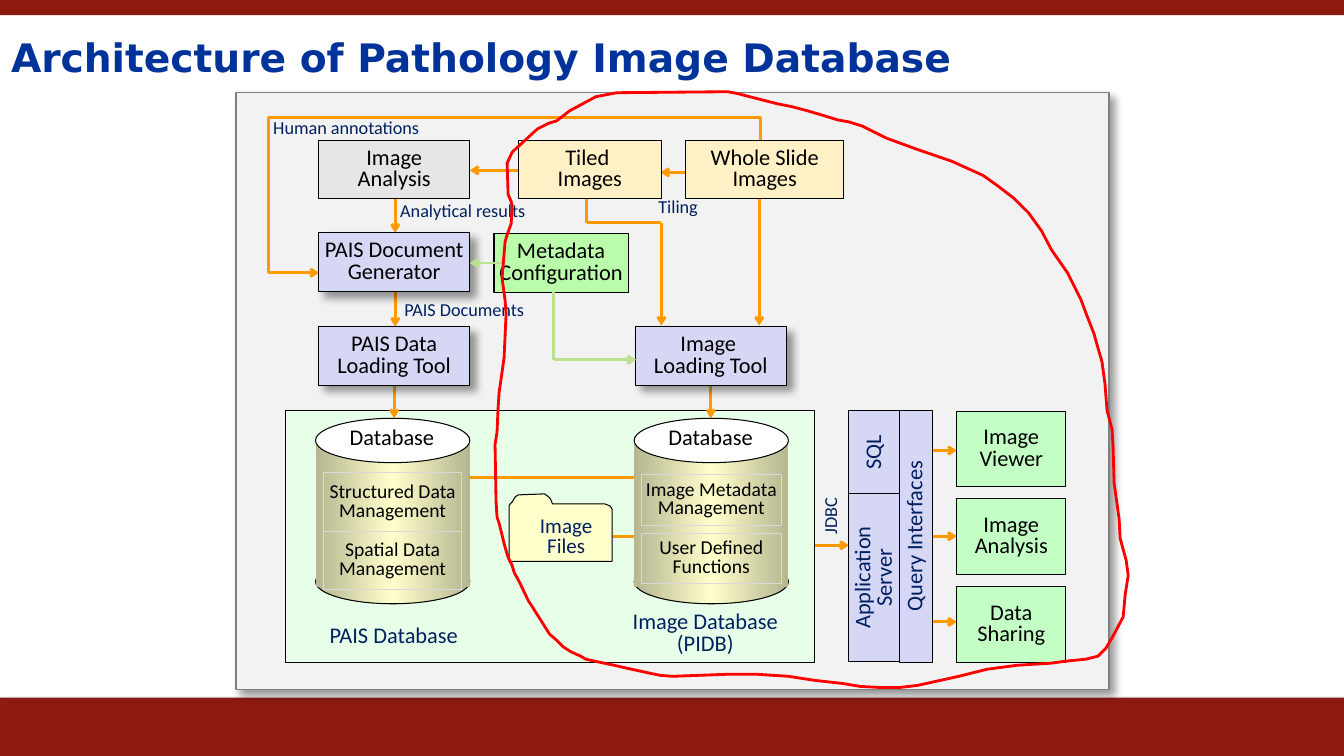
from copy import deepcopy
from pptx import Presentation, util as u
from pptx.dml import color
from pptx.enum import shapes, text
from pptx.oxml import parse_xml
from pptx.oxml.ns import nsdecls, qn

RECT, OVAL = shapes.MSO_SHAPE.RECTANGLE, shapes.MSO_SHAPE.OVAL
MID, TOP = text.MSO_ANCHOR.MIDDLE, text.MSO_ANCHOR.TOP
LEFT, CENTER = text.PP_ALIGN.LEFT, text.PP_ALIGN.CENTER
ORANGE, GREEN, NAVY, BLACK = "FF9900", "BAE18F", "002060", "000000"
LILAC, CREAM, MINT, RED = "D6D6F5", "FFF1C5", "C3FFC4", "8D1A11"
SHADE = (40, 6, 6, 45)
FOLDER = [(.93, .1), (.43, .1), (.41, .05), (.38, .02), (.35, 0), (.09, .01), (.06, .03),
          (.03, .08), (.01, .1), (0, .12), (0, .67), (1.02, .67), (1.02, .15), (1, .12), (.95, .1)]
LOOP = [(1.21, .01), (1, .05), (.74, .19), (.61, .29), (.54, .31), (.42, .37), (.3, .48), (.17, .6),
        (.12, .71), (.13, 1.02), (.16, 1.09), (.17, 1.13), (.16, 1.31), (.12, 1.42), (.1, 1.49),
        (.07, 1.85), (.1, 2.07), (.11, 2.2), (.09, 2.64), (.04, 2.99), (.03, 3.15), (.02, 3.38),
        (0, 3.5), (.01, 4.06), (.02, 4.22), (.04, 4.28), (.1, 4.52), (.13, 4.62), (.17, 4.7),
        (.19, 4.77), (.24, 4.86), (.33, 5.05), (.37, 5.11), (.54, 5.38), (.62, 5.45), (.68, 5.51),
        (.76, 5.56), (.85, 5.6), (.9, 5.63), (.99, 5.65), (1.18, 5.69), (1.31, 5.72), (1.54, 5.77),
        (1.64, 5.79), (1.76, 5.8), (2.3, 5.78), (2.6, 5.78), (2.91, 5.8), (3.17, 5.84), (3.44, 5.87),
        (3.62, 5.9), (3.81, 5.91), (4.02, 5.91), (4.19, 5.89), (4.6, 5.8), (4.88, 5.73), (5.18, 5.69),
        (5.51, 5.67), (5.66, 5.65), (5.86, 5.63), (5.98, 5.6), (6.06, 5.52), (6.13, 5.4), (6.23, 5.21),
        (6.25, 4.99), (6.28, 4.8), (6.26, 4.65), (6.2, 4.43), (6.19, 4.24), (6.14, 3.88), (6.13, 3.53),
        (6.12, 3.35), (6.07, 3.16), (6.05, 2.9), (6.02, 2.68), (5.94, 2.4), (5.87, 2.22), (5.81, 2.06),
        (5.68, 1.8), (5.52, 1.57), (5.42, 1.38), (5.29, 1.2), (5.15, 1.06), (4.98, .93), (4.84, .83),
        (4.53, .69), (4.18, .57), (3.88, .46), (3.64, .34), (3.51, .3), (3.4, .28), (3.27, .24),
        (3.1, .19), (2.95, .15), (2.8, .12), (2.41, .02), (2.31, 0)]


def hue(code):
    """Turn a hex string into a colour."""
    return color.RGBColor.from_string(code)


def dress(part, fmt):
    """Set every attribute listed in a dict."""
    for key, value in fmt.items():
        setattr(part, key, value)


def paint(part, fill=None, edge=None, width=.75, shade=None):
    """Set fill, outline and shadow of a shape."""
    part.shadow.inherit = False
    part.fill.background()
    if fill:
        part.fill.solid()
        part.fill.fore_color.rgb = hue(fill)
    part.line.fill.background()
    if edge:
        part.line.color.rgb = hue(edge)
        part.line.width = u.Pt(width)
    if shade:
        alpha, blur, dist, turn = shade
        part._element.spPr.find(qn("a:effectLst")).append(parse_xml(
            f'<a:outerShdw {nsdecls("a")} blurRad="{u.Pt(blur)}" dist="{u.Pt(dist)}" dir="{turn * 60000}" '
            f'algn="tl" rotWithShape="0"><a:srgbClr val="000000"><a:alpha val="{alpha * 1000}"/>'
            '</a:srgbClr></a:outerShdw>'))


def write(part, words, size=16, ink=BLACK, align=CENTER, gap=.8, pad=(.09, .12), anchor=MID,
          wrap=True, face="Calibri", bold=False):
    """Fill a shape with formatted paragraphs."""
    frame = part.text_frame
    side, end = map(u.Inches, pad)
    dress(frame, dict(text=words, word_wrap=wrap, vertical_anchor=anchor, margin_left=side,
                      margin_right=side, margin_top=end, margin_bottom=end))
    for para in frame.paragraphs:
        dress(para, dict(alignment=align, line_spacing=gap))
        dress(para.font, dict(name=face, size=u.Pt(size), bold=bold))
        para.font.color.rgb = hue(ink)


def block(slide, box, kind=RECT, **look):
    """Add a painted preset shape."""
    part = slide.shapes.add_shape(kind, *map(u.Inches, box))
    paint(part, **look)
    return part


def label(slide, box, words, **look):
    """Add a text box."""
    part = slide.shapes.add_textbox(*map(u.Inches, box))
    write(part, words, **look)
    return part


def stand(box):
    """Return the unturned box of a part turned upright."""
    x, y, w, h = box
    return x + (w - h) / 2, y + (h - w) / 2, h, w


def finish(link, ink, head):
    """Format a connector."""
    link.line.color.rgb = hue(ink)
    link.line.width = u.Pt(2)
    if head:
        link.line._get_or_add_ln().append(parse_xml(f'<a:tailEnd {nsdecls("a")} type="arrow"/>'))
    link._element.spPr.append(parse_xml(f'<a:effectLst {nsdecls("a")}/>'))


def route(slide, x, y, *spots, ink=ORANGE, head=True):
    """Join spots by straight connectors, with an arrowhead at the end."""
    for i, (a, b) in enumerate(zip(spots, spots[1:]), 2):
        ends = [u.Inches(v) for v in (x + a[0], y + a[1], x + b[0], y + b[1])]
        link = slide.shapes.add_connector(shapes.MSO_CONNECTOR.STRAIGHT, *ends)
        finish(link, ink, head and i == len(spots))


def elbow(slide, x, y):
    """Lead the annotations from the whole slides to the generator."""
    ends = map(u.Inches, (x + 3.66, y + 3.33, x + 2.37, y - 1.05))
    link = slide.shapes.add_connector(shapes.MSO_CONNECTOR.ELBOW, *ends)
    form = link._element.spPr
    form.find(qn("a:xfrm")).set("rot", str(270 * 60000))
    shape = form.find(qn("a:prstGeom"))
    shape.set("prst", "bentConnector4")
    shape.replace(shape[0], parse_xml(
        f'<a:avLst {nsdecls("a")}><a:gd name="adj1" fmla="val -19400"/>'
        '<a:gd name="adj2" fmla="val 111400"/></a:avLst>'))
    finish(link, ORANGE, True)


def trace(slide, x, y, spots, **look):
    """Draw a closed outline through spots."""
    spots = [(u.Inches(x + a), u.Inches(y + b)) for a, b in spots]
    pen = slide.shapes.build_freeform(*spots[0])
    pen.add_line_segments(spots[1:], close=True)
    paint(pen.convert_to_shape(), **look)


def metal(part):
    """Give a shape a sheen from side to side."""
    part.fill.gradient()
    part.fill.gradient_angle = 0
    stops = part.fill._fill._gradFill.find(qn("a:gsLst"))
    stops.insert(1, deepcopy(stops[0]))
    for stop, spot in zip(part.fill.gradient_stops, (0, .5, 1)):
        stop.color.rgb = hue("FFFFCC")
        stop.position = spot
    for stop in (stops[0], stops[2]):
        stop[0].append(parse_xml(f'<a:shade {nsdecls("a")} val="46275"/>'))


def can(slide, x, y, w, slots, inset, drop, high):
    """Draw a database drum with two slots."""
    metal(block(slide, (x, y + 1.4, w, .44), OVAL, edge=BLACK))
    metal(block(slide, (x, y + .18, w, 1.49)))
    block(slide, (x, y, w, .44), OVAL, fill="FFFFFF", edge=BLACK)
    label(slide, (x + .24, y, 1.05, .37), "Database", align=LEFT, gap=1, pad=(.1, .05), anchor=TOP, wrap=False)
    for i, words in enumerate(slots):
        slot = block(slide, (x + inset, y + drop + .58 * i, w - 2 * inset, high), edge="D9D9D9")
        write(slot, words, size=14, pad=(0, .12))


def store(slide, x, y, w, h):
    """Draw the two databases and the image files."""
    block(slide, (x, y, w, h), fill="E7FFE8", edge=BLACK)
    route(slide, x, y, (3.25, 1.25), (3.5, 1.25), head=False)
    can(slide, x + .3, y + .08, 1.53, ("Structured Data Management", "Spatial Data Management"), .08, .54, .58)
    can(slide, x + 3.46, y + .08, 1.53, ("Image Metadata Management", "User Defined Functions"), .07, .56, .5)
    route(slide, x, y, (1.82, .67), (3.46, .67), head=False)
    trace(slide, x + 2.22, y + .83, FOLDER, fill="FFFFCC", edge=BLACK)
    label(slide, (x + 2.37, y + 1.05, .83, .42), "Image Files", size=15, ink=NAVY)
    for dx, dy, wide, high, words in ((.24, 2.09, 1.67, .32, "PAIS Database"),
                                      (3.12, 1.96, 2.09, .53, "Image Database (PIDB)")):
        label(slide, (x + dx, y + dy, wide, high), words, ink=NAVY, pad=(.1, .05), anchor=TOP)


def flow(slide, x, y):
    """Draw the steps that feed the databases."""
    for spots in (((5.19, .98), (5.19, 2.31)), ((3.48, .97), (3.48, 1.29), (4.22, 1.29), (4.22, 2.31)),
                  ((2.82, .77), (2.32, .77)), ((4.46, .79), (4.21, .79)), ((1.58, .98), (1.58, 1.39)),
                  ((1.58, 1.98), (1.58, 2.32)), ((1.57, 2.9), (1.57, 3.23)), ((4.71, 2.9), (4.71, 3.23))):
        route(slide, x, y, *spots)
    elbow(slide, x, y)
    for dx, dy, w, fill, shade, pad, words in (
            (.82, .47, 1.5, "E6E6E6", None, .09, "Image Analysis"), (2.8, .47, 1.42, CREAM, None, .09, "Tiled \nImages"),
            (4.46, .47, 1.57, CREAM, None, .09, "Whole Slide Images"),
            (.82, 1.39, 1.5, LILAC, SHADE, 0, "PAIS Document Generator"),
            (2.56, 1.4, 1.33, "BAFCAA", None, 0, "Metadata Configuration"),
            (.82, 2.32, 1.5, LILAC, SHADE, 0, "PAIS Data Loading Tool"),
            (3.96, 2.32, 1.5, LILAC, SHADE, 0, "Image \nLoading Tool")):
        write(block(slide, (x + dx, y + dy, w, .58), fill=fill, edge=BLACK, shade=shade), words, pad=(pad, .12))
    route(slide, x, y, (2.65, 1.69), (2.32, 1.69), ink=GREEN)
    route(slide, x, y, (3.15, 1.98), (3.15, 2.65), (3.97, 2.65), ink=GREEN)
    for dx, dy, w, words in ((1.54, .98, 1.56, "Analytical results"), (1.58, 1.96, 1.4, "PAIS Documents"),
                             (4.1, .94, .63, "Tiling"), (.28, .15, 1.96, "Human annotations")):
        label(slide, (x + dx, y + dy, w, .42), words, size=13, ink=NAVY, align=LEFT)


def access(slide, x, y):
    """Draw the query layers and their clients."""
    route(slide, x, y, (-.34, 1.34), (0, 1.34))
    for dx, dy, w, h, words in ((0, .83, .51, 1.66, "Application Server"), (0, 0, .51, .83, "SQL"),
                                (.5, 0, .33, 2.5, "Query Interfaces")):
        layer = block(slide, stand((x + dx, y + dy, w, h)), fill=LILAC, edge=BLACK)
        layer.rotation = 270
        write(layer, words, ink=NAVY)
    label(slide, stand((x - .38, y + .76, .42, .56)), "JDBC", size=13, ink=NAVY, align=LEFT).rotation = 270
    for i, words in enumerate(("Image Viewer", "Image Analysis", "Data Sharing")):
        route(slide, x, y, (.83, .4 + .85 * i), (1.07, .4 + .85 * i))
        write(block(slide, (x + 1.07, y + .01 + .87 * i, 1.08, .75), fill=MINT, edge=BLACK), words)


def head(slide, x, y, w, h):
    """Place the title."""
    title = slide.shapes.title
    dress(title, dict(zip(("left", "top", "width", "height"), map(u.Inches, (x, y, w, h)))))
    write(title, "Architecture of Pathology Image Database", size=28, ink="003399", align=LEFT,
          gap=.95, pad=(0, .02), face="DejaVu Sans", bold=True)


def main():
    """Build the slide."""
    deck = Presentation()
    dress(deck, dict(slide_width=u.Inches(13.33), slide_height=u.Inches(7.5)))
    slide = deck.slides.add_slide(deck.slide_layouts[5])
    block(slide, (0, 6.92, 13.33, .58), fill=RED, shade=(35, 3, 2, 90))
    block(slide, (0, 0, 13.33, .15), fill=RED)
    head(slide, .11, .19, 13.02, .79)
    block(slide, (2.34, .92, 8.66, 5.92), fill="F2F2F2", edge="808080", width=1, shade=(40, 6, 5, 45))
    store(slide, 2.83, 4.07, 5.25, 2.5)
    flow(slide, 2.34, .92)
    access(slide, 8.42, 4.07)
    trace(slide, 4.91, .91, LOOP, edge="FF0000", width=2)
    deck.save("out.pptx")


if __name__ == "__main__":
    main()
